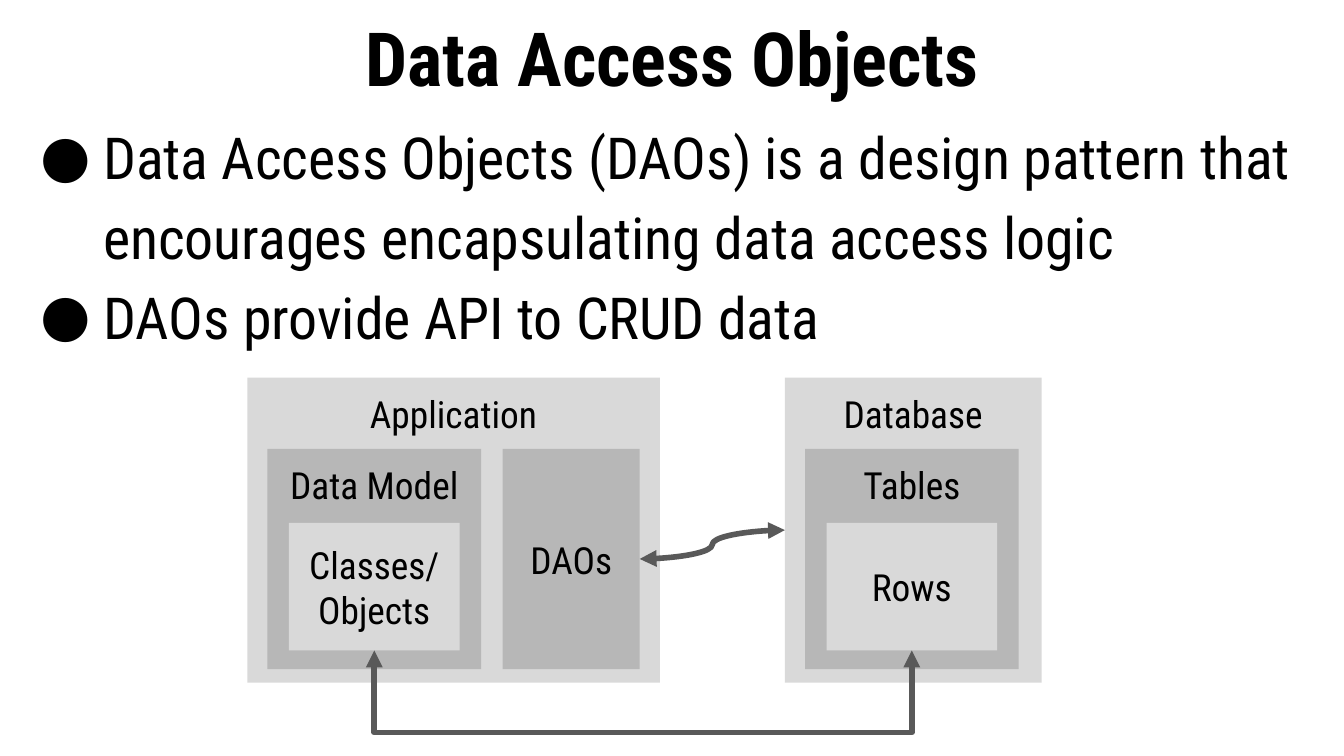
from typing import NamedTuple

from lxml.etree import SubElement
from pptx import Presentation
from pptx.dml.color import RGBColor
from pptx.enum.shapes import MSO_CONNECTOR, MSO_SHAPE
from pptx.enum.text import MSO_ANCHOR, PP_ALIGN
from pptx.oxml.ns import qn
from pptx.util import Inches, Pt

FONT = "Roboto Condensed"
BLACK = RGBColor(0x00, 0x00, 0x00)
LIGHT = RGBColor(0xD9, 0xD9, 0xD9)
MID = RGBColor(0xB7, 0xB7, 0xB7)
DARK = RGBColor(0x59, 0x59, 0x59)


class Box(NamedTuple):
    label: str
    left: float
    top: float
    width: float
    height: float
    color: RGBColor
    anchor: MSO_ANCHOR = MSO_ANCHOR.TOP

    @property
    def center_x(self) -> float:
        return self.left + self.width / 2

    @property
    def bottom(self) -> float:
        return self.top + self.height


def write(tf, paragraphs, *, size, bold=False, align=PP_ALIGN.LEFT,
          anchor=MSO_ANCHOR.TOP, spacing=None, bullet=None) -> None:
    """Fill a text frame with one paragraph per string."""
    tf.word_wrap = True
    tf.vertical_anchor = anchor
    tf.margin_left = tf.margin_right = Inches(0.1)
    tf.margin_top = tf.margin_bottom = Inches(0.1)
    for i, text in enumerate(paragraphs):
        p = tf.add_paragraph() if i else tf.paragraphs[0]
        p.text = text
        p.alignment = align
        if spacing:
            p.line_spacing = spacing
        if bullet:
            pPr = p._p.get_or_add_pPr()
            pPr.set("marL", str(Inches(0.5)))
            pPr.set("indent", str(Inches(-0.47)))
            SubElement(pPr, qn("a:buFont")).set("typeface", FONT)
            SubElement(pPr, qn("a:buChar")).set("char", bullet)
        for r in p.runs:
            r.font.name = FONT
            r.font.size = Pt(size)
            r.font.bold = bold
            r.font.color.rgb = BLACK


def add_text(slide, left: float, top: float, width: float, height: float,
             paragraphs, **style) -> None:
    sp = slide.shapes.add_textbox(Inches(left), Inches(top), Inches(width), Inches(height))
    write(sp.text_frame, paragraphs, **style)


def add_box(slide, box: Box) -> None:
    sp = slide.shapes.add_shape(MSO_SHAPE.RECTANGLE, Inches(box.left), Inches(box.top),
                                Inches(box.width), Inches(box.height))
    sp.shadow.inherit = False
    sp.fill.solid()
    sp.fill.fore_color.rgb = box.color
    sp.line.fill.background()
    write(sp.text_frame, [box.label], size=20, align=PP_ALIGN.CENTER, anchor=box.anchor)


def style_arrow(sp) -> None:
    """Grey line with an arrowhead at both ends and no shadow."""
    sp.line.color.rgb = DARK
    sp.line.width = Pt(3)
    ln = sp.line._get_or_add_ln()
    for end in ("a:headEnd", "a:tailEnd"):
        SubElement(ln, qn(end)).set("type", "triangle")
    SubElement(sp._element.spPr, qn("a:effectLst"))


def add_curve(slide, start, end) -> None:
    cx = slide.shapes.add_connector(MSO_CONNECTOR.CURVE, *map(Inches, start + end))
    style_arrow(cx)


def add_elbow(slide, points) -> None:
    first, *rest = [(Inches(x), Inches(y)) for x, y in points]
    builder = slide.shapes.build_freeform(*first)
    builder.add_line_segments(rest, close=False)
    sp = builder.convert_to_shape()
    sp.fill.background()
    style_arrow(sp)


def main() -> None:
    # 16:9 slide
    prs = Presentation()
    prs.slide_width = Inches(10)
    prs.slide_height = prs.slide_width * 9 // 16
    slide = prs.slides.add_slide(prs.slide_layouts[6])

    # Title and bullets
    add_text(slide, 0, -0.01, 10, 0.75, ["Data Access Objects"],
             size=40, bold=True, align=PP_ALIGN.CENTER)
    add_text(slide, 0.17, 0.73, 9.83, 1.91, [
        "Data Access Objects (DAOs) is a design pattern that "
        "encourages encapsulating data access logic",
        "DAOs provide API to CRUD data",
    ], size=31, spacing=1.15, bullet="●")

    # Nested boxes, outer to inner
    middle = MSO_ANCHOR.MIDDLE
    application = Box("Application", 1.84, 2.81, 3.07, 2.27, LIGHT)
    daos = Box("DAOs", 3.74, 3.34, 1.02, 1.64, MID, middle)
    database = Box("Database", 5.84, 2.81, 1.91, 2.27, LIGHT)
    tables = Box("Tables", 5.99, 3.34, 1.59, 1.64, MID)
    rows = Box("Rows", 6.15, 3.89, 1.27, 0.95, LIGHT, middle)
    model = Box("Data Model", 1.99, 3.34, 1.59, 1.64, MID)
    classes = Box("Classes/\vObjects", 2.15, 3.89, 1.27, 0.95, LIGHT, middle)
    for box in (application, daos, database, tables, rows, model, classes):
        add_box(slide, box)

    # Arrows: objects to rows, DAOs to database
    low = 5.45
    add_elbow(slide, [(classes.center_x, classes.bottom), (classes.center_x, low),
                      (rows.center_x, low), (rows.center_x, rows.bottom)])
    add_curve(slide, (daos.left + daos.width, daos.top + daos.height / 2),
              (database.left, database.top + database.height / 2))

    prs.save("out.pptx")


if __name__ == "__main__":
    main()
